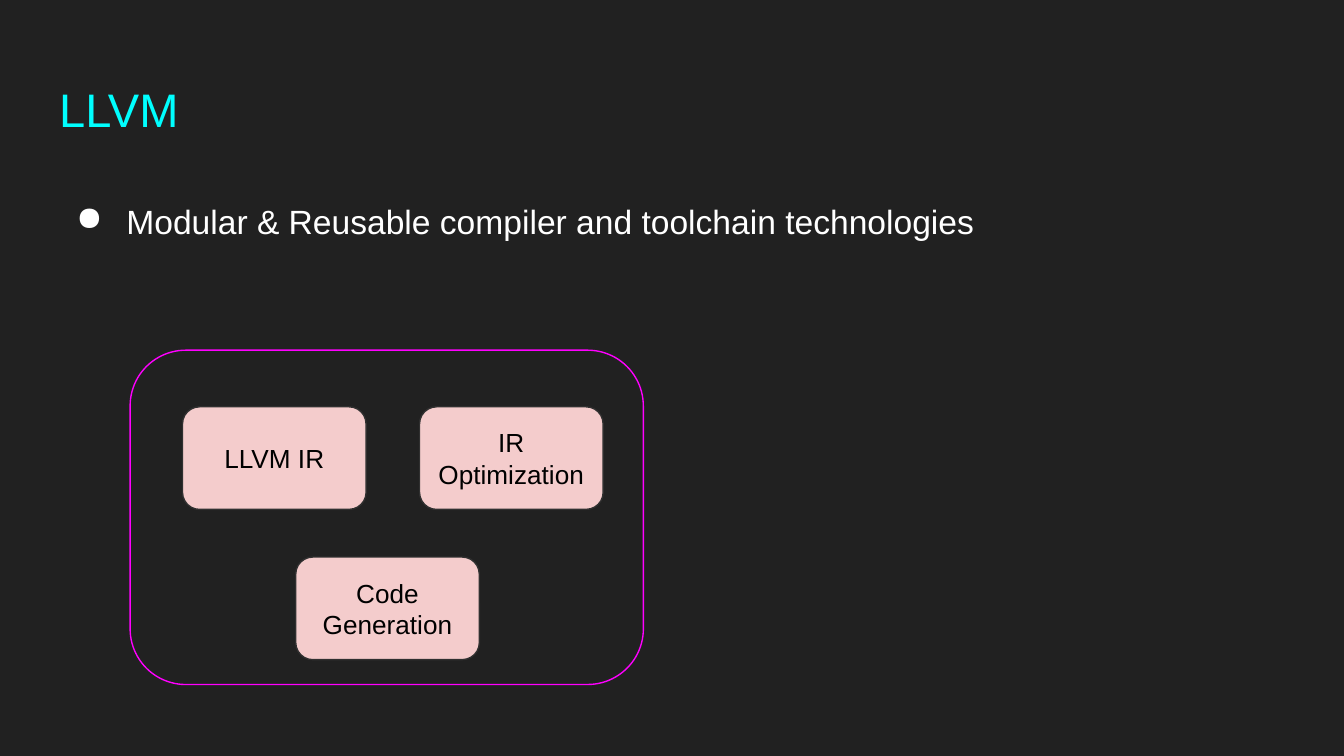
from lxml import etree
from pptx import Presentation
from pptx.dml.color import RGBColor
from pptx.enum.shapes import MSO_SHAPE
from pptx.enum.text import MSO_ANCHOR, PP_ALIGN
from pptx.oxml.ns import qn
from pptx.util import Cm, Pt

ROUNDED = MSO_SHAPE.ROUNDED_RECTANGLE
MIDDLE, BOTTOM, TOP = MSO_ANCHOR.MIDDLE, MSO_ANCHOR.BOTTOM, MSO_ANCHOR.TOP
CENTER, LEFT = PP_ALIGN.CENTER, PP_ALIGN.LEFT
BACKGROUND = RGBColor(0x21, 0x21, 0x21)
CYAN = RGBColor(0x00, 0xFF, 0xFF)
WHITE = RGBColor(0xFF, 0xFF, 0xFF)
BLACK = RGBColor(0x00, 0x00, 0x00)
MAGENTA = RGBColor(0xFF, 0x00, 0xFF)
PINK = RGBColor(0xF4, 0xCC, 0xCC)
EDGE = RGBColor(0x30, 0x30, 0x30)


def write_text(sp, text, size, color, anchor, align):
    tf = sp.text_frame
    tf.word_wrap = True
    tf.vertical_anchor = anchor
    tf.margin_left = tf.margin_right = tf.margin_top = tf.margin_bottom = Cm(0.25)
    p = tf.paragraphs[0]
    p.text = text
    p.alignment = align
    p.font.name = "Arial"
    p.font.size = Pt(size)
    p.font.color.rgb = color
    return p


def add_rounded(s, left, top, width, height, line):
    sp = s.shapes.add_shape(ROUNDED, Cm(left), Cm(top), Cm(width), Cm(height))
    sp.shadow.inherit = False
    sp.line.color.rgb = line
    sp.line.width = Pt(0.75)
    return sp


prs = Presentation()
prs.slide_width, prs.slide_height = Cm(25.4), Cm(14.29)
s = prs.slides.add_slide(prs.slide_layouts[6])
s.background.fill.solid()
s.background.fill.fore_color.rgb = BACKGROUND

title = s.shapes.add_textbox(Cm(0.87), Cm(1.24), Cm(23.67), Cm(1.6))
write_text(title, "LLVM", 25.2, CYAN, BOTTOM, LEFT)

body = s.shapes.add_textbox(Cm(0.87), Cm(3.43), Cm(23.67), Cm(9.5))
text = "Modular & Reusable compiler and toolchain technologies"
p = write_text(body, text, 18, WHITE, TOP, LEFT)
p.line_spacing = 1.15
p.space_after = Pt(10)
pPr = p._p.get_or_add_pPr()
pPr.set("marL", str(Cm(1.27)))
pPr.set("indent", str(-Cm(0.95)))
bullet = etree.Element(qn("a:buChar"), char="●")
pPr.find(qn("a:defRPr")).addprevious(bullet)

frame = add_rounded(s, 2.46, 6.62, 9.7, 6.32, MAGENTA)
frame.fill.background()

modules = [
    ("LLVM IR", 3.45, 7.69),
    ("IR Optimization", 7.93, 7.69),
    ("Code Generation", 5.59, 10.53),
]
for name, left, top in modules:
    sp = add_rounded(s, left, top, 3.47, 1.94, EDGE)
    sp.fill.solid()
    sp.fill.fore_color.rgb = PINK
    write_text(sp, name, 14, BLACK, MIDDLE, CENTER)

prs.save("out.pptx")
